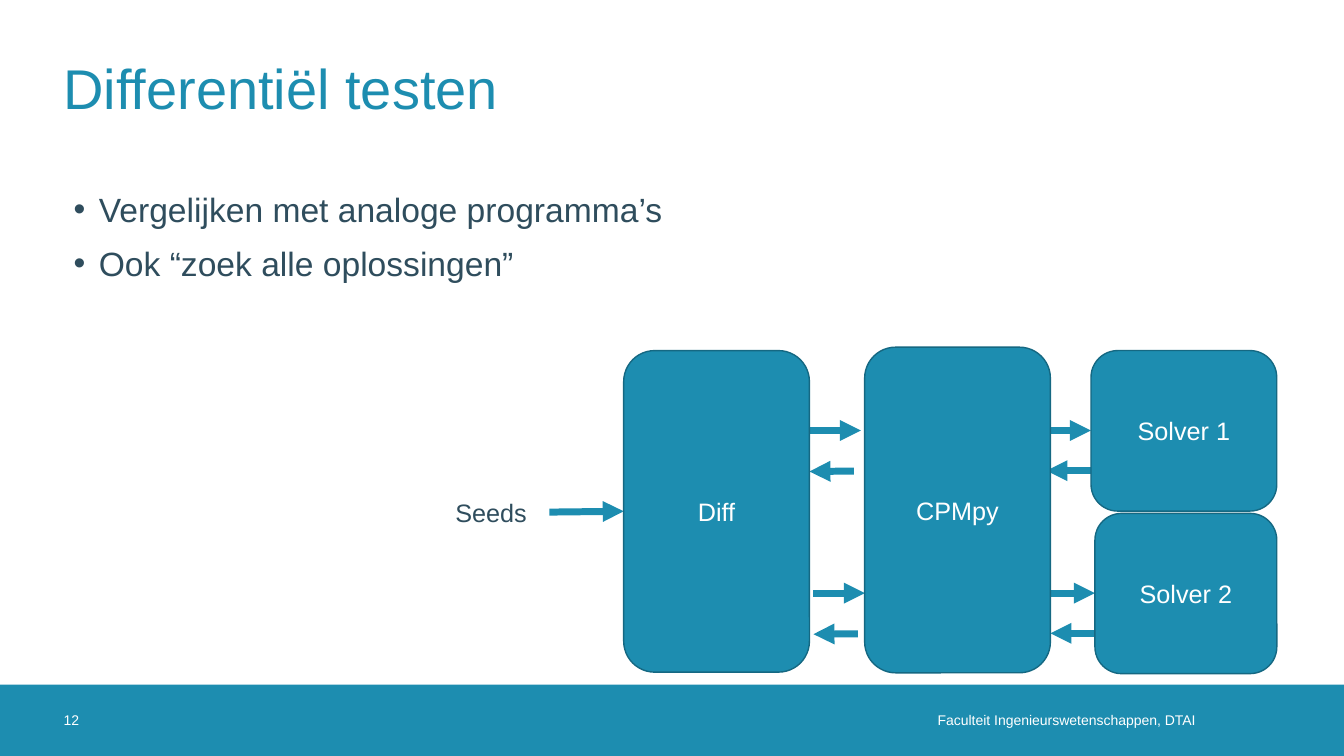
"""Build the slide on differential testing, with its solver diagram."""
import dataclasses
import typing

import lxml.etree
import pptx
import pptx.dml.color
import pptx.enum.shapes
import pptx.enum.text
import pptx.oxml.ns
import pptx.util

Pt = pptx.util.Pt
Align = pptx.enum.text.PP_ALIGN
Anchor = pptx.enum.text.MSO_ANCHOR
Shapes = pptx.enum.shapes.MSO_SHAPE
qn = pptx.oxml.ns.qn


@dataclasses.dataclass(frozen=True)
class Theme:
    font: str = "Arial"
    accent: str = "1D8DB0"
    outline: str = "156882"
    text: str = "2F4D5D"
    white: str = "FFFFFF"
    title_size: float = 40
    body_size: float = 24
    label_size: float = 18
    footer_size: float = 10


@dataclasses.dataclass(frozen=True)
class Area:
    left: float
    top: float
    width: float
    height: float

    def lengths(self) -> tuple:
        return tuple(Pt(value) for value in dataclasses.astuple(self))


@dataclasses.dataclass(frozen=True)
class Box:
    label: str
    area: Area


@dataclasses.dataclass(frozen=True)
class Label:
    text: str
    area: Area
    size: float
    color: str
    align: Align = Align.LEFT
    anchor: Anchor = Anchor.MIDDLE
    insets: tuple = (0, 0, 0, 0)


@dataclasses.dataclass(frozen=True)
class Arrow:
    start_x: float
    start_y: float
    end_x: float
    end_y: float

    def shifted(self, right: float, down: float) -> "Arrow":
        return Arrow(self.start_x + right, self.start_y + down,
                     self.end_x + right, self.end_y + down)


THEME = Theme()
SLIDE_WIDTH, SLIDE_HEIGHT = 960, 540
FOOTER_TOP, FOOTER_HEIGHT = 489, 51
TITLE = Label("Differentiël testen", Area(45.4, 16.6, 869, 90.7), THEME.title_size, THEME.accent)
BODY = Label("Vergelijken met analoge programma’s\nOok “zoek alle oplossingen”",
             Area(45.4, 131, 879.8, 139), THEME.body_size, THEME.text,
             anchor=Anchor.TOP, insets=(7.2, 3.6, 7.2, 3.6))
LABELS = [
    Label("Faculteit Ingenieurswetenschappen, DTAI",
          Area(475.2, FOOTER_TOP, 393.1, FOOTER_HEIGHT), THEME.footer_size, THEME.white,
          Align.RIGHT, insets=(0, 0, 14.4, 0)),
    Label("12", Area(45.4, FOOTER_TOP, 51, FOOTER_HEIGHT), THEME.footer_size, THEME.white),
    Label("Seeds", Area(318.2, 351.4, 74.2, 29), THEME.label_size, THEME.text,
          anchor=Anchor.TOP, insets=(7.2, 3.6, 7.2, 3.6)),
]
BOXES = [
    Box("Diff", Area(445.5, 250.4, 132.7, 229.7)),
    Box("Solver 1", Area(779.3, 250.4, 132.7, 114.7)),
    Box("CPMpy", Area(617.6, 248, 132.7, 232.6)),
    Box("Solver 2", Area(782.1, 366.7, 129.9, 114.5)),
]
SEED_ARROW = Arrow(392.4, 365.8, 445.5, 365.2)
SOLVER_1_ARROWS = [
    Arrow(578.2, 307.5, 614.9, 307.5),
    Arrow(747.5, 307.5, 779.2, 307.5),
    Arrow(779.2, 336.2, 747.5, 336.2),
    Arrow(609.9, 336.5, 578.2, 336.8),
]
SOLVER_2_ARROWS = [arrow.shifted(2.9, 116.2) for arrow in SOLVER_1_ARROWS]


def rgb(color: str) -> pptx.dml.color.RGBColor:
    return pptx.dml.color.RGBColor.from_string(color)


def place(shape: typing.Any, area: Area) -> None:
    shape.left, shape.top, shape.width, shape.height = area.lengths()


def format_text(shape: typing.Any, label: Label) -> None:
    frame = shape.text_frame
    frame.text = label.text
    frame.word_wrap = True
    frame.auto_size = pptx.enum.text.MSO_AUTO_SIZE.NONE
    frame.vertical_anchor = label.anchor
    (frame.margin_left, frame.margin_top,
     frame.margin_right, frame.margin_bottom) = (Pt(inset) for inset in label.insets)
    for paragraph in frame.paragraphs:
        paragraph.alignment = label.align
        paragraph.space_before = Pt(0)
        for run in paragraph.runs:
            run.font.name = THEME.font
            run.font.size = Pt(label.size)
            run.font.color.rgb = rgb(label.color)


def add_bullets(shape: typing.Any) -> None:
    for index, paragraph in enumerate(shape.text_frame.paragraphs):
        paragraph.space_before = Pt(10 if index else 0)
        properties = paragraph._p.get_or_add_pPr()
        properties.set("marL", str(Pt(18)))
        properties.set("indent", str(Pt(-18)))
        lxml.etree.SubElement(properties, qn("a:buChar"), char="•")


def add_label(slide: typing.Any, label: Label) -> None:
    format_text(slide.shapes.add_textbox(*label.area.lengths()), label)


def add_filled(slide: typing.Any, kind: Shapes, area: Area) -> typing.Any:
    shape = slide.shapes.add_shape(kind, *area.lengths())
    shape.shadow.inherit = False
    shape.fill.solid()
    shape.fill.fore_color.rgb = rgb(THEME.accent)
    return shape


def add_box(slide: typing.Any, box: Box) -> None:
    shape = add_filled(slide, Shapes.ROUNDED_RECTANGLE, box.area)
    shape.line.color.rgb = rgb(THEME.outline)
    shape.line.width = Pt(1)
    format_text(shape, Label(box.label, box.area, THEME.label_size, THEME.white, Align.CENTER))


def add_arrow(slide: typing.Any, arrow: Arrow) -> None:
    ends = (Pt(value) for value in dataclasses.astuple(arrow))
    connector = slide.shapes.add_connector(pptx.enum.shapes.MSO_CONNECTOR.STRAIGHT, *ends)
    connector.line.color.rgb = rgb(THEME.accent)
    connector.line.width = Pt(5)
    lxml.etree.SubElement(connector.line._get_or_add_ln(), qn("a:tailEnd"), type="triangle")
    lxml.etree.SubElement(connector._element.spPr, qn("a:effectLst"))


def main() -> None:
    presentation = pptx.Presentation()
    presentation.slide_width, presentation.slide_height = Pt(SLIDE_WIDTH), Pt(SLIDE_HEIGHT)
    slide = presentation.slides.add_slide(presentation.slide_layouts[1])
    for shape, label in zip(slide.placeholders, (TITLE, BODY)):
        place(shape, label.area)
        format_text(shape, label)
    add_bullets(slide.placeholders[1])

    footer = add_filled(slide, Shapes.RECTANGLE, Area(0, FOOTER_TOP, SLIDE_WIDTH, FOOTER_HEIGHT))
    footer.line.fill.background()
    for label in LABELS:
        add_label(slide, label)
    for arrow in [SEED_ARROW, *SOLVER_1_ARROWS, *SOLVER_2_ARROWS]:
        add_arrow(slide, arrow)
    for box in BOXES:
        add_box(slide, box)
    presentation.save("out.pptx")


if __name__ == "__main__":
    main()
